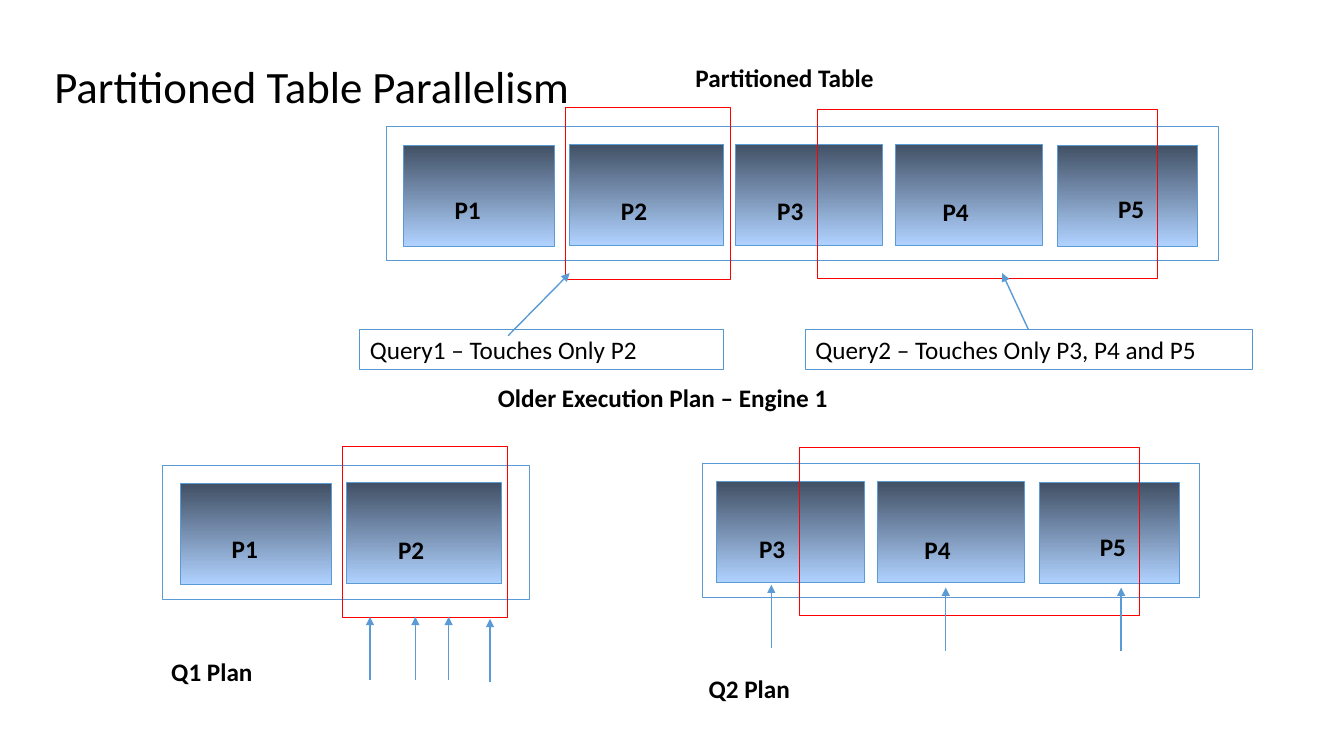
from dataclasses import dataclass

from lxml import etree
from pptx import Presentation
from pptx.dml.color import RGBColor
from pptx.enum.shapes import MSO_CONNECTOR, MSO_SHAPE
from pptx.enum.text import MSO_ANCHOR, MSO_AUTO_SIZE, PP_ALIGN
from pptx.oxml.ns import qn
from pptx.util import Inches, Pt

RECTANGLE = MSO_SHAPE.RECTANGLE
STRAIGHT = MSO_CONNECTOR.STRAIGHT
TOP, BOTTOM = MSO_ANCHOR.TOP, MSO_ANCHOR.BOTTOM
LEFT = PP_ALIGN.LEFT
GROW = MSO_AUTO_SIZE.SHAPE_TO_FIT_TEXT


@dataclass(frozen=True)
class Theme:
    """Colours, font and sizes of the slide."""
    font: str = "Calibri"
    title_size: float = 32
    body_size: float = 18
    text: str = "000000"
    blue: str = "5B9BD5"
    query_border: str = "5698D3"
    red: str = "FF0000"
    gradient: tuple = ("415065", "B0D2FF")
    thin: float = 0.5
    border: float = 0.75
    arrow: float = 1


THEME = Theme()

PARTITIONS = {
    "P1": ((4, 1.44, 1.5, 1), (4.41, 1.88)),
    "P2": ((5.65, 1.43, 1.53, 1), (6.06, 1.89)),
    "P3": ((7.29, 1.43, 1.46, 1), (7.61, 1.89)),
    "P4": ((8.88, 1.43, 1.46, 1), (9.25, 1.9)),
    "P5": ((10.49, 1.44, 1.39, 1), (10.99, 1.87)),
}
QUERY1_FRAME = (5.61, 1.07, 1.63, 1.7)
QUERY2_FRAME = (8.11, 1.09, 3.37, 1.67)
HEADINGS = [
    ("Partitioned Table", (6.8, 0.57, 4.17, 0.42)),
    ("Older Execution Plan – Engine 1", (4.84, 3.74, 4.41, 0.41)),
    ("Q1 Plan", (1.6, 6.46, 4.41, 0.41)),
    ("Q2 Plan", (6.93, 6.63, 4.41, 0.41)),
]
QUERIES = [
    ("Query1 – Touches Only P2", (3.57, 3.27, 3.61, 0.4)),
    ("Query2 – Touches Only P3, P4 and P5", (7.99, 3.27, 4.43, 0.4)),
]
QUERY_ARROWS = [((5.04, 3.33), (5.65, 2.71)), ((10.2, 3.27), (9.94, 2.71))]
THREAD_LENGTH = 0.63
THREAD_TIPS = [
    (3.67, 6.12), (4.12, 6.12), (4.45, 6.12), (4.86, 6.14),
    (7.65, 5.8), (9.38, 5.83), (11.12, 5.83),
]


def color(value):
    """Turn a hex string into a colour."""
    return RGBColor.from_string(value)


def shifted(area, shift):
    """Move an area by a horizontal and vertical shift."""
    return (area[0] + shift[0], area[1] + shift[1], *area[2:])


def write(shape, words, size, bold=False, anchor=TOP):
    """Put one left-aligned run of text into a shape."""
    frame = shape.text_frame
    frame.word_wrap = True
    frame.vertical_anchor = anchor
    para = frame.paragraphs[0]
    para.alignment = LEFT
    span = para.add_run()
    span.text = words
    span.font.name = THEME.font
    span.font.size = Pt(size)
    span.font.bold = bold
    span.font.color.rgb = color(THEME.text)
    return frame


def add_box(page, area, line, width):
    """Add an unfilled, outlined rectangle."""
    box = page.shapes.add_shape(RECTANGLE, *map(Inches, area))
    box.shadow.inherit = False
    box.fill.background()
    box.line.color.rgb = color(line)
    box.line.width = Pt(width)
    return box


def add_label(page, words, area):
    """Add a bold text label."""
    box = page.shapes.add_textbox(*map(Inches, area))
    write(box, words, THEME.body_size, bold=True).auto_size = GROW


def add_title(page, words, area):
    """Add the slide title."""
    box = page.shapes.add_textbox(*map(Inches, area))
    frame = write(box, words, THEME.title_size, anchor=BOTTOM)
    frame.paragraphs[0].line_spacing = 0.9


def add_query(page, words, area):
    """Add a bordered query description."""
    box = add_box(page, area, THEME.query_border, THEME.border)
    write(box, words, THEME.body_size).auto_size = GROW


def add_partition(page, name, shift):
    """Add a gradient partition block with its label."""
    area, label = PARTITIONS[name]
    block = add_box(page, shifted(area, shift), THEME.blue, THEME.thin)
    block.fill.gradient()
    block.fill.gradient_angle = 270
    for stop, shade in zip(block.fill.gradient_stops, THEME.gradient):
        stop.color.rgb = color(shade)
    add_label(page, name, shifted((*label, 0.62, 0.4), shift))


def add_table_group(page, outline, names, query_frames, shift=(0, 0)):
    """Add a table outline, its partitions and the red query frames."""
    add_box(page, outline, THEME.blue, THEME.thin)
    for name in names:
        add_partition(page, name, shift)
    for frame in query_frames:
        add_box(page, shifted(frame, shift), THEME.red, THEME.thin)


def add_arrow(page, start, end):
    """Add a straight arrow with a triangle at its end."""
    arrow = page.shapes.add_connector(STRAIGHT, *map(Inches, (*start, *end)))
    arrow.line.color.rgb = color(THEME.blue)
    arrow.line.width = Pt(THEME.arrow)
    properties = arrow.element.spPr
    etree.SubElement(properties.find(qn("a:ln")), qn("a:tailEnd"), type="triangle")
    etree.SubElement(properties, qn("a:effectLst"))


def main():
    """Build the slide and save it."""
    deck = Presentation()
    deck.slide_width, deck.slide_height = Inches(13.33), Inches(7.5)
    page = deck.slides.add_slide(deck.slide_layouts[6])
    add_title(page, "Partitioned Table Parallelism", (0.44, 0.17, 12.44, 1))
    add_table_group(page, (3.83, 1.25, 8.25, 1.33), PARTITIONS,
                    [QUERY1_FRAME, QUERY2_FRAME])
    add_table_group(page, (1.61, 4.62, 3.64, 1.33), ["P1", "P2"],
                    [QUERY1_FRAME], (-2.21, 3.36))
    add_table_group(page, (6.97, 4.6, 4.93, 1.33), ["P3", "P4", "P5"],
                    [QUERY2_FRAME], (-0.18, 3.35))
    for words, area in HEADINGS:
        add_label(page, words, area)
    for words, area in QUERIES:
        add_query(page, words, area)
    for start, end in QUERY_ARROWS:
        add_arrow(page, start, end)
    for left, top in THREAD_TIPS:
        add_arrow(page, (left, top + THREAD_LENGTH), (left, top))
    deck.save("out.pptx")


main()
